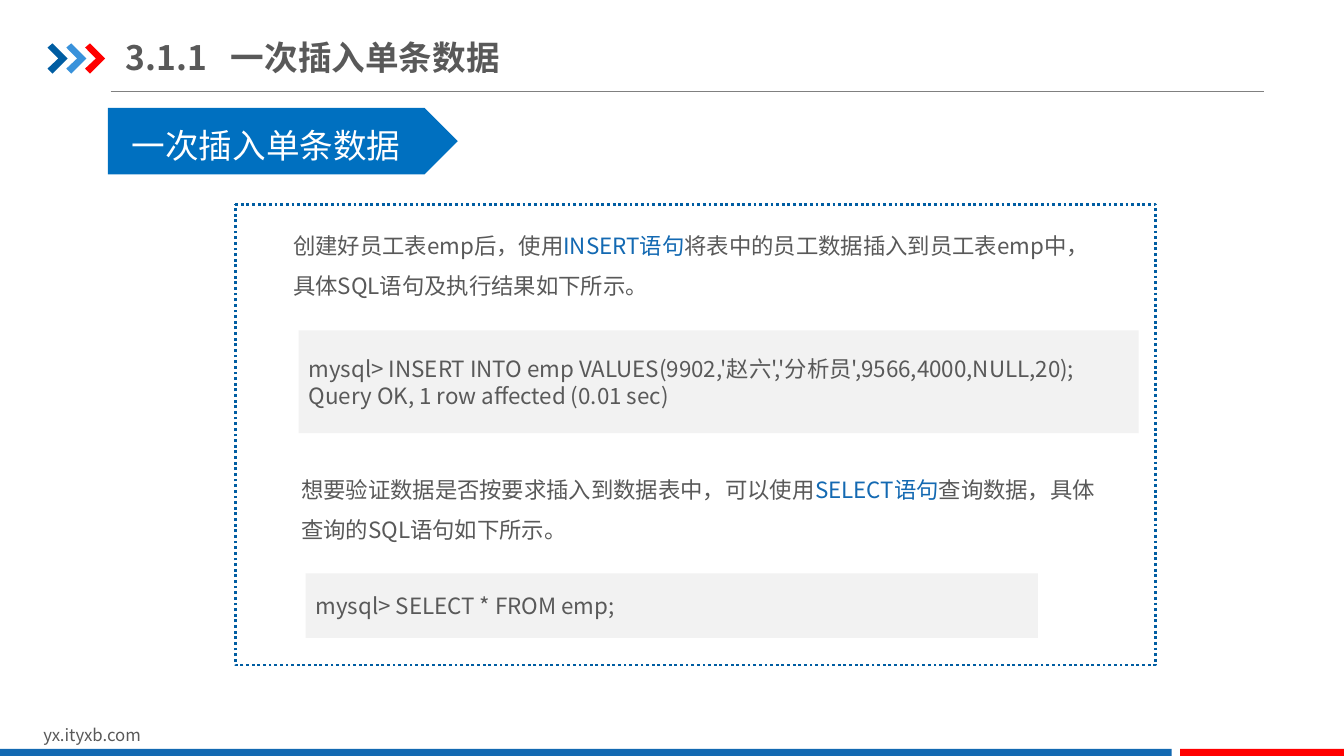
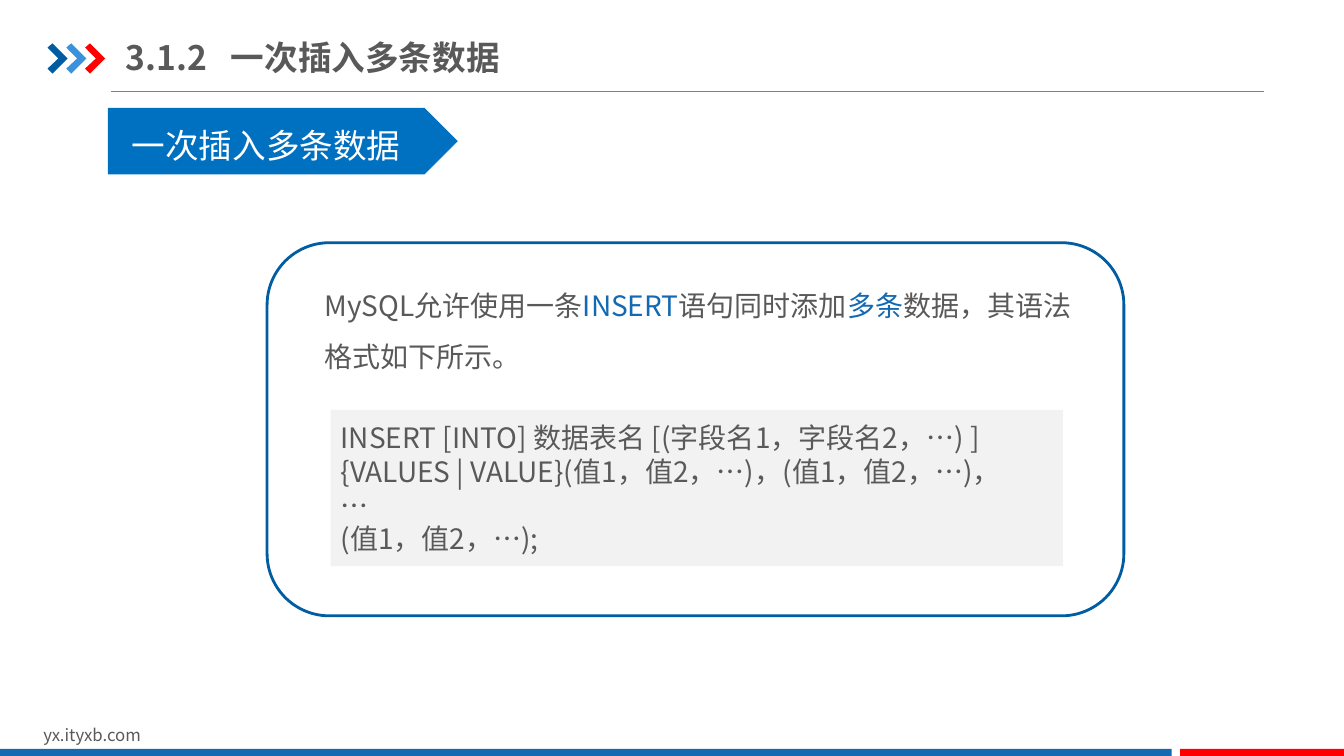
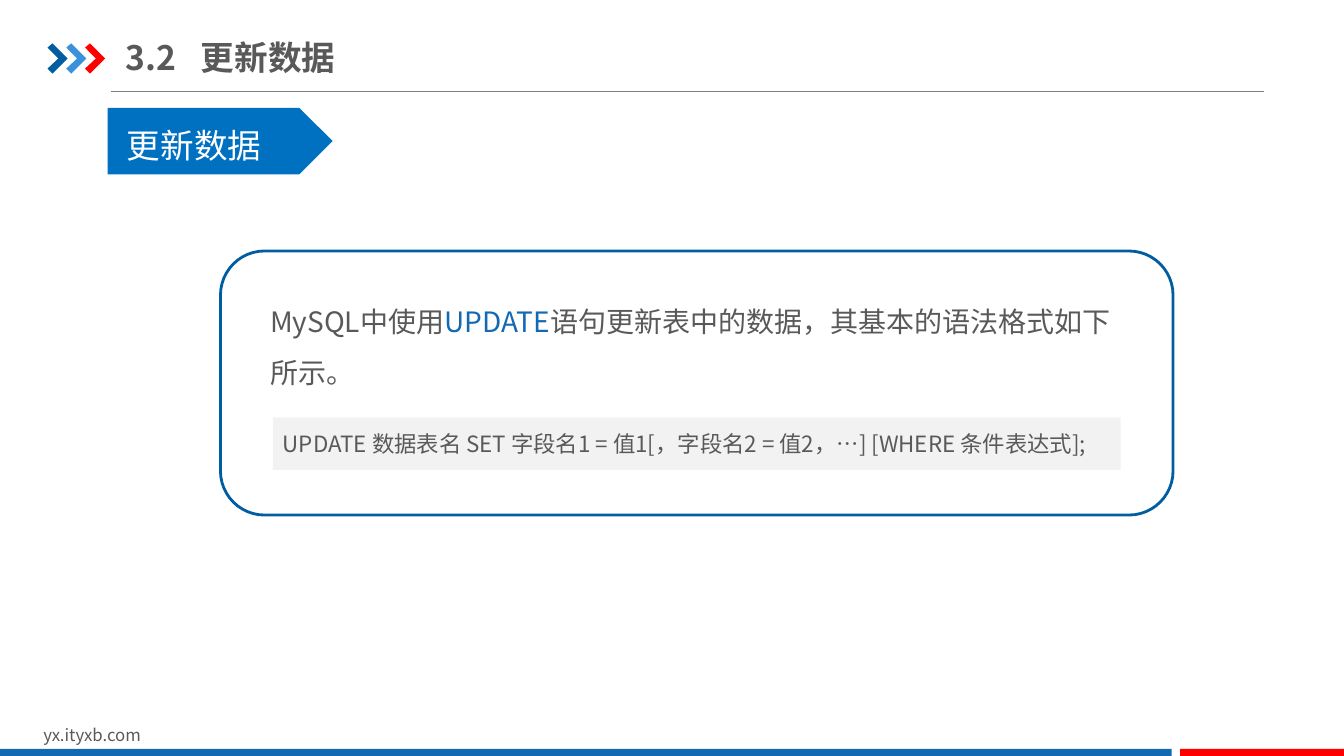
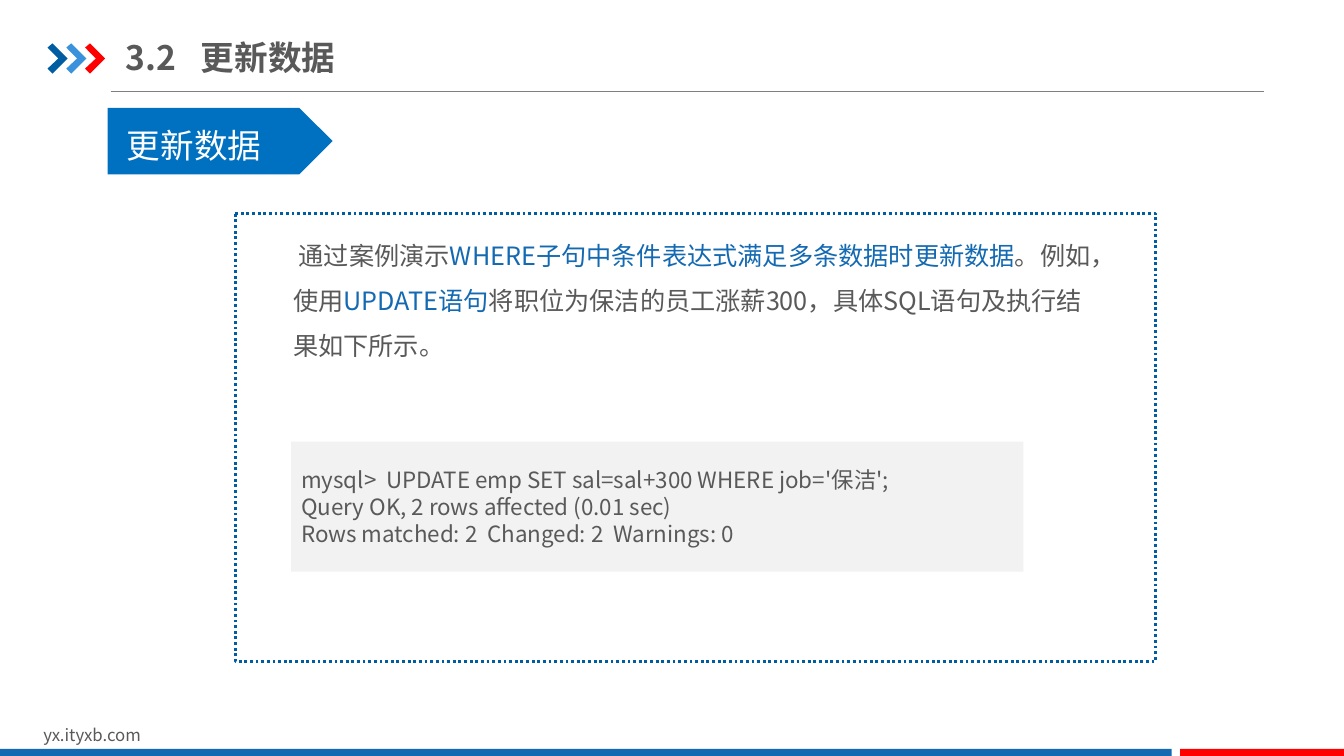
from lxml.etree import SubElement
from pptx import Presentation
from pptx.dml.color import RGBColor
from pptx.enum.dml import MSO_LINE
from pptx.enum.lang import MSO_LANGUAGE_ID
from pptx.enum.shapes import MSO_CONNECTOR, MSO_SHAPE
from pptx.enum.text import MSO_ANCHOR, MSO_AUTO_SIZE, PP_ALIGN
from pptx.oxml.ns import qn
from pptx.util import Pt

COLOURS = {
    "white": "FFFFFF",
    "text": "595959",
    "accent": "1369B2",
    "outline": "005DA2",
    "sky": "3992DB",
    "red": "FF0000",
    "banner": "0070C0",
    "code": "F2F2F2",
    "rule": "808080",
}
FONT = "Noto Sans CJK SC"
CHEVRON = [(0, 3), (3.5, 0), (14.4, 10.8), (3.5, 21.6), (0, 18), (7.7, 10.8)]
CHEVRON_STEP = 13.4
TITLE_STOPS = (53.5, 75)


def colour(name):
    return RGBColor.from_string(COLOURS[name])


class CourseDeck:
    def __init__(self):
        self.deck = Presentation()
        self.deck.slide_width, self.deck.slide_height = Pt(960), Pt(540)
        self.page = None

    def add_page(self, title, banner, banner_width, banner_inset):
        self.page = self.deck.slides.add_slide(self.deck.slide_layouts[6])
        self.rule(79, 903, 65.5)
        self.chevrons(34, 31)
        self.text([["yx.ityxb.com"]], 23.8, 514, 229, 22, 12)
        self.shape(MSO_SHAPE.RECTANGLE, 0, 535, 837, 5, "accent")
        self.shape(MSO_SHAPE.RECTANGLE, 843, 535, 117, 5, "red")
        self.title(title)
        self.shape(MSO_SHAPE.PENTAGON, 77, 77, banner_width, 47.6, "banner")
        self.text([[banner]], 77 + banner_inset, 71.3,
                  banner_width - 2 * banner_inset, 51, 24, "white", 1.5)

    def style(self, span, size, name="text", bold=False):
        span.font.size, span.font.bold = Pt(size), bold
        span.font.name = FONT
        span.font.color.rgb = colour(name)
        span.font.language_id = MSO_LANGUAGE_ID.SIMPLIFIED_CHINESE
        SubElement(span.font._element, qn("a:ea"), typeface=FONT)

    def rule(self, left, right, top):
        line = self.page.shapes.add_connector(
            MSO_CONNECTOR.STRAIGHT, Pt(left), Pt(top), Pt(right), Pt(top))
        line.line.color.rgb, line.line.width = colour("rule"), Pt(0.75)
        SubElement(line._element.spPr, qn("a:effectLst"))

    def chevrons(self, left, top):
        group = self.page.shapes.add_group_shape()
        for index, name in enumerate(("outline", "sky", "red")):
            start, *others = [(Pt(left + index * CHEVRON_STEP + x), Pt(top + y))
                              for x, y in CHEVRON]
            builder = group.shapes.build_freeform(*start)
            builder.add_line_segments(others, close=True)
            self.paint(builder.convert_to_shape(), name)

    def paint(self, shape, fill):
        shape.shadow.inherit = False
        shape.fill.solid()
        shape.fill.fore_color.rgb = colour(fill)
        shape.line.fill.background()

    def shape(self, kind, left, top, width, height, fill):
        shape = self.page.shapes.add_shape(
            kind, Pt(left), Pt(top), Pt(width), Pt(height))
        self.paint(shape, fill)
        return shape

    def panel(self, left, top, width, height, dotted=False):
        kind = (MSO_SHAPE.FLOWCHART_PROCESS if dotted
                else MSO_SHAPE.FLOWCHART_ALTERNATE_PROCESS)
        panel = self.shape(kind, left, top, width, height, "white")
        panel.line.color.rgb, panel.line.width = colour("outline"), Pt(2)
        if dotted:
            panel.line.dash_style = MSO_LINE.ROUND_DOT

    def title(self, text):
        """Title whose number and wording are parted by a tab."""
        box = self.page.shapes.add_textbox(Pt(90), Pt(21), Pt(307), Pt(40))
        frame = box.text_frame
        frame.word_wrap, frame.vertical_anchor = True, MSO_ANCHOR.MIDDLE
        frame.margin_left = frame.margin_right = 0
        frame.margin_top = frame.margin_bottom = Pt(5)
        frame.text = text
        para = frame.paragraphs[0]
        stops = SubElement(para._p.get_or_add_pPr(), qn("a:tabLst"))
        for stop in TITLE_STOPS:
            SubElement(stops, qn("a:tab"), pos=str(Pt(stop)), algn="l")
        self.style(para.runs[0], 24, bold=True)

    def text(self, paragraphs, left, top, width, height, size,
             name="text", spacing=1, indent=0):
        """Text box; every second span of a paragraph takes the accent colour."""
        box = self.page.shapes.add_textbox(Pt(left), Pt(top), Pt(width), Pt(height))
        frame = box.text_frame
        frame.word_wrap, frame.auto_size = True, MSO_AUTO_SIZE.SHAPE_TO_FIT_TEXT
        for number, spans in enumerate(paragraphs):
            para = frame.add_paragraph() if number else frame.paragraphs[0]
            para.line_spacing = spacing
            if indent:
                para._p.get_or_add_pPr().set("indent", str(Pt(indent)))
            for index, words in enumerate(spans):
                span = para.add_run()
                span.text = words
                self.style(span, size, "accent" if index % 2 else name)

    def body(self, spans, left, top, width, height, size, indent=0):
        self.text([spans], left, top, width, height, size, spacing=1.5, indent=indent)

    def code(self, lines, left, top, width, height, size=16):
        block = self.shape(MSO_SHAPE.RECTANGLE, left, top, width, height, "code")
        frame = block.text_frame
        frame.word_wrap, frame.vertical_anchor = True, MSO_ANCHOR.MIDDLE
        frame.text = "\n".join(lines)
        for para in frame.paragraphs:
            para.alignment = PP_ALIGN.LEFT
            self.style(para.runs[0], size)


def main():
    course = CourseDeck()
    long_banner, short_banner = (250, 10), (160.6, 6.5)

    course.add_page("3.1.1\t一次插入单条数据", "一次插入单条数据", *long_banner)
    course.panel(168, 146, 657.5, 329, dotted=True)
    course.body(["创建好员工表emp后，使用", "INSERT语句",
                 "将表中的员工数据插入到员工表emp中，具体SQL语句及执行结果如下所示。"],
                202.3, 152.6, 591, 65.5, 16)
    course.code(["mysql> INSERT INTO emp VALUES(9902,'赵六','分析员',9566,4000,NULL,20);",
                 "Query OK, 1 row affected (0.01 sec)"], 213.4, 236, 600, 73.4)
    course.body(["想要验证数据是否按要求插入到数据表中，可以使用", "SELECT语句",
                 "查询数据，具体查询的SQL语句如下所示。"],
                208, 327, 591, 65.5, 16)
    course.code(["mysql> SELECT * FROM emp;"], 218.4, 409.6, 523, 46)

    course.add_page("3.1.2\t一次插入多条数据", "一次插入多条数据", *long_banner)
    course.panel(190.8, 173.4, 612, 266.5)
    course.body(["MySQL允许使用一条", "INSERT", "语句同时添加", "多条",
                 "数据，其语法格式如下所示。"], 224.6, 190.8, 563.8, 80, 20)
    course.code(["INSERT [INTO] 数据表名 [(字段名1，字段名2，…) ]",
                 "{VALUES | VALUE}(值1，值2，…)，(值1，值2，…)，",
                 "…",
                 "(值1，值2，…);"], 236.2, 292.8, 523, 111.6, 20)

    course.add_page("3.2\t更新数据", "更新数据", *short_banner)
    course.panel(157.5, 179.3, 680.4, 188.6)
    course.body(["MySQL中使用", "UPDATE", "语句更新表中的数据，其基本的语法格式如下所示。"],
                185.8, 202.3, 630, 80, 20)
    course.code(["UPDATE 数据表名 SET 字段名1 = 值1[，字段名2 = 值2，…] [WHERE 条件表达式];"],
                195, 298.2, 605.5, 37.5)

    course.add_page("3.2\t更新数据", "更新数据", *short_banner)
    course.panel(168, 152.6, 657.5, 319.7, dotted=True)
    course.body(["通过案例演示", "WHERE子句中条件表达式满足多条数据时更新数据", "。例如，使用",
                 "UPDATE语句", "将职位为保洁的员工涨薪300，具体SQL语句及执行结果如下所示。"],
                202.3, 157, 591, 105, 18, indent=4)
    course.code(["mysql>  UPDATE emp SET sal=sal+300 WHERE job='保洁';",
                 "Query OK, 2 rows affected (0.01 sec)",
                 "Rows matched: 2  Changed: 2  Warnings: 0"], 208, 315.4, 523, 92.9)

    course.deck.save("out.pptx")


if __name__ == "__main__":
    main()
